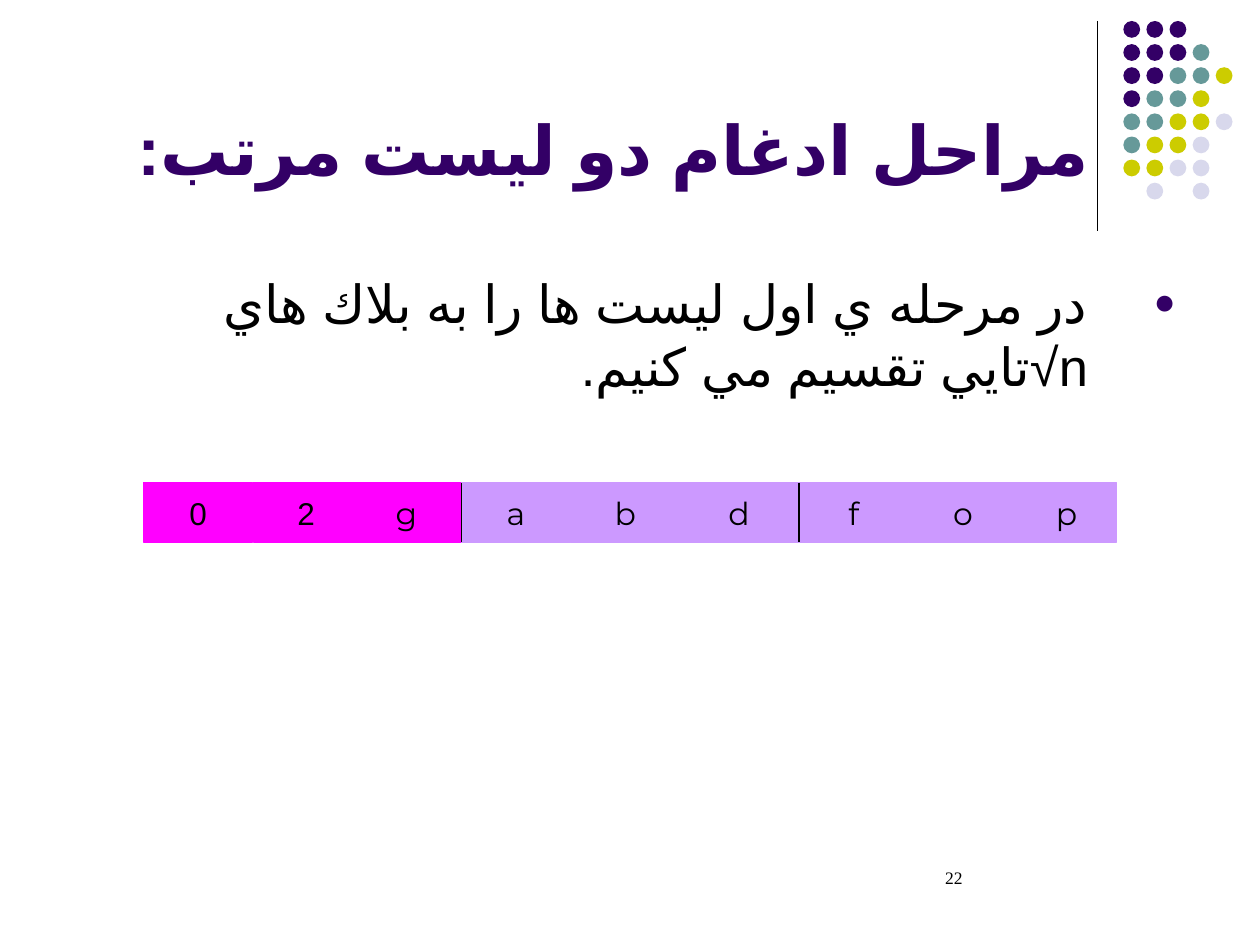
from lxml import etree
from pptx import Presentation
from pptx import util as u
from pptx.dml.color import RGBColor
from pptx.enum import lang, shapes, text
from pptx.oxml import ns

Pt = u.Pt
INDIGO, TEAL, OLIVE, MIST = "330066", "669999", "CCCC00", "D8D8EC"
MAGENTA, LILAC, BLACK = "FF00FF", "CC99FF", "000000"


def color(hex_string):
    """Turn a hex string into a colour."""
    return RGBColor.from_string(hex_string)


def add_child(parent, tag, **attributes):
    """Append a DrawingML element to a parent element."""
    return etree.SubElement(parent, ns.qn(tag), attributes)


def write(frame, words, size, font="Arial", ink=BLACK, bold=False, align="LEFT",
          anchor="TOP", rtl=False, wrap=True, margin=0, hanging=0, bullet=None):
    """Put one formatted paragraph into a text frame."""
    frame.auto_size = text.MSO_AUTO_SIZE.NONE
    frame.word_wrap = wrap
    frame.vertical_anchor = getattr(text.MSO_ANCHOR, anchor)
    paragraph = frame.paragraphs[0]
    properties = paragraph._p.get_or_add_pPr()
    properties.set("marL", str(Pt(margin)))
    properties.set("indent", str(-Pt(hanging)))
    properties.set("rtl", str(int(rtl)))
    if bullet:
        add_child(add_child(properties, "a:buClr"), "a:srgbClr", val=INDIGO)
        add_child(properties, "a:buSzPct", val="70000")
        add_child(properties, "a:buFont", typeface="Arial")
        add_child(properties, "a:buChar", char=bullet)
    paragraph.alignment = getattr(text.PP_ALIGN, align)
    paragraph.space_before = Pt(0)
    run = paragraph.add_run()
    run.text = words
    run.font.size, run.font.bold, run.font.name = Pt(size), bold, font
    run.font.color.rgb = color(ink)
    if rtl:
        run.font.language_id = lang.MSO_LANGUAGE_ID.FARSI
        add_child(run.font._element, "a:cs", typeface="Arial")


def place(holder, left, top, width, height):
    """Move a placeholder to a box given in points."""
    holder.left, holder.top = Pt(left), Pt(top)
    holder.width, holder.height = Pt(width), Pt(height)
    return holder.text_frame


def add_rule(slide, x, top, bottom):
    """Draw a thin vertical line."""
    rule = slide.shapes.add_connector(
        shapes.MSO_CONNECTOR.STRAIGHT, Pt(x), Pt(top), Pt(x), Pt(bottom))
    rule.line.color.rgb, rule.line.width = color(BLACK), Pt(0.75)
    add_child(rule._element.spPr, "a:effectLst")


def add_block(slide, kind, box, fill, outline=False):
    """Draw a flat filled shape in a box given in points."""
    block = slide.shapes.add_shape(kind, *map(Pt, box))
    block.shadow.inherit = False
    block.fill.solid()
    block.fill.fore_color.rgb = color(fill)
    if outline:
        block.line.color.rgb, block.line.width = color(fill), Pt(0.75)
    else:
        block.line.fill.background()
    return block


def add_dots(slide, left, top, pitch, diameter):
    """Draw the corner ornament of coloured dots."""
    pattern = ["III", "IIIT", "IITTO", "ITTO", "TTOOM", "TOOM", "OOMM", " M M"]
    palette = {"I": INDIGO, "T": TEAL, "O": OLIVE, "M": MIST}
    for row, letters in enumerate(pattern):
        for column, letter in enumerate(letters):
            if letter in palette:
                box = left + column * pitch, top + row * pitch, diameter, diameter
                add_block(slide, shapes.MSO_SHAPE.OVAL, box, palette[letter])


def add_list_bar(slide, left, top, height):
    """Draw the sorted list as three blocks with dividers between them."""
    blocks = [
        (MAGENTA, [("0", 0, 62.5), ("2", 62.7, 60.5), ("g", 119, 62.6)]),
        (LILAC, [("a", 181.6, 62.5), ("b", 244, 62.5), ("d", 306, 68.5)]),
        (LILAC, [("f", 374.5, 62.5), ("o", 437, 62.5), ("p", 499, 57)]),
    ]
    for fill, items in blocks:
        for label, offset, width in items:
            cell = add_block(slide, shapes.MSO_SHAPE.RECTANGLE,
                             (left + offset, top, width, height), fill, outline=True)
            write(cell.text_frame, label, 18, font="Montserrat", align="CENTER",
                  anchor="MIDDLE", rtl=True, wrap=False)
    for _, items in blocks[1:]:
        add_rule(slide, left + items[0][1], top, top + height)


def add_page_number(slide, left, top, width, height):
    """Write the page number."""
    box = slide.shapes.add_textbox(*map(Pt, (left, top, width, height)))
    write(box.text_frame, "22", 10, font="Times New Roman", margin=17)


def main():
    """Build and save the slide."""
    deck = Presentation()
    deck.slide_width, deck.slide_height = Pt(720), Pt(540)
    slide = deck.slides.add_slide(deck.slide_layouts[1])
    add_rule(slide, 627, 12, 132)
    add_dots(slide, 641.9, 12, 13.2, 9.6)
    write(place(slide.shapes.title, 36, 9.5, 594, 102), "مراحل ادغام دو ليست مرتب:",
          39, ink=INDIGO, bold=True, align="RIGHT", anchor="BOTTOM", rtl=True)
    write(place(slide.placeholders[1], 31, 151, 648, 389),
          "در مرحله ي اول ليست ها را به بلاك هاي n√تايي تقسيم مي كنيم.",
          30, align="RIGHT", rtl=True, margin=50, hanging=50, bullet="●")
    add_list_bar(slide, 82, 275.8, 34)
    add_page_number(slide, 516, 492, 168, 36)
    deck.save("out.pptx")


if __name__ == "__main__":
    main()
